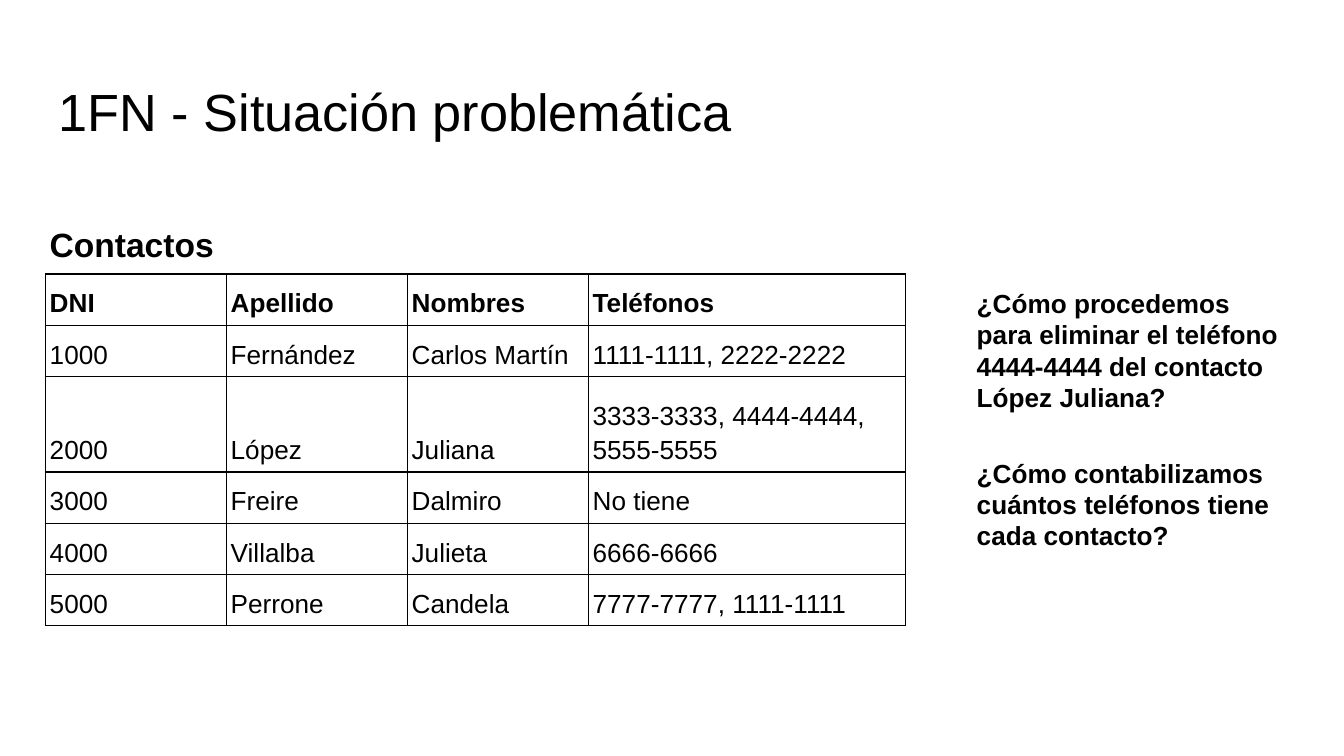
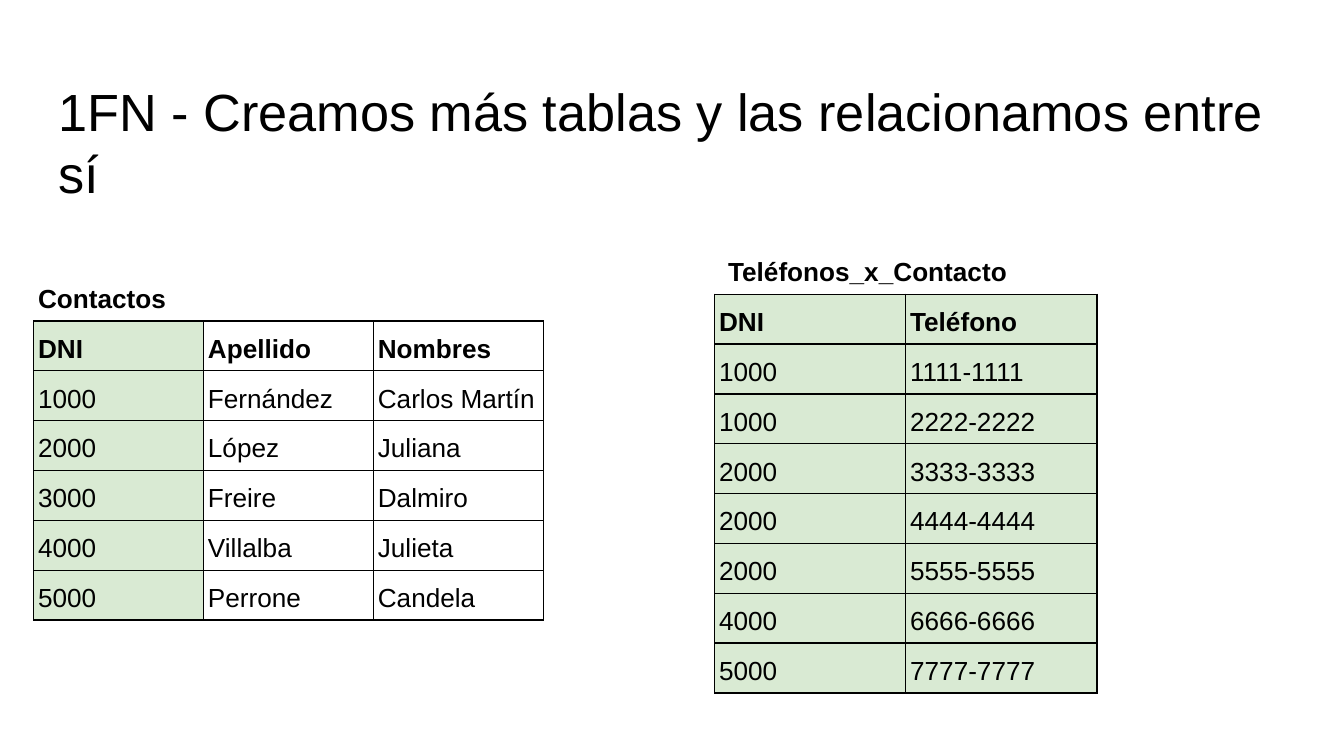
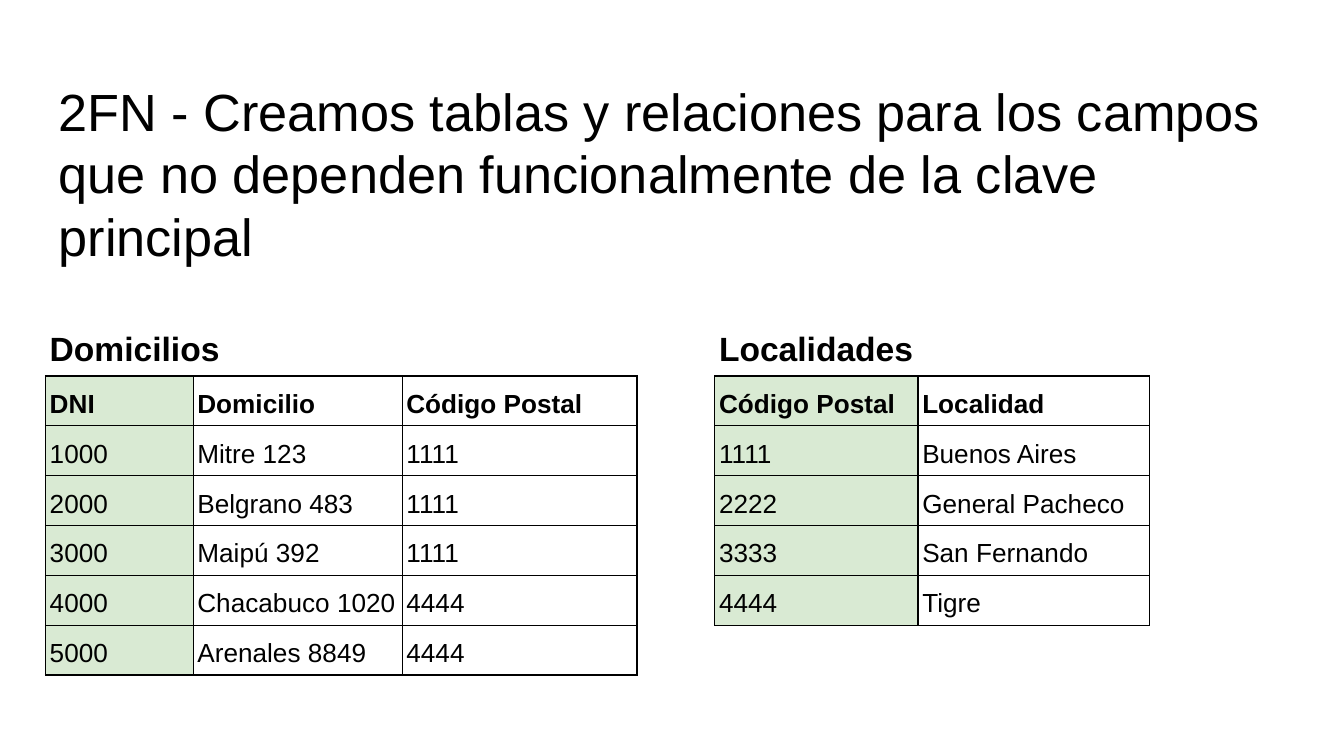
from pptx import Presentation
from pptx.dml.color import RGBColor
from pptx.enum.text import MSO_ANCHOR
from pptx.oxml import parse_xml
from pptx.oxml.ns import nsdecls, qn
from pptx.util import Cm, Pt

BLACK = RGBColor(0x00, 0x00, 0x00)
WHITE = RGBColor(0xFF, 0xFF, 0xFF)
KEY_GREEN = RGBColor(0xD9, 0xEA, 0xD3)
FONT = "Arial"
PLAIN_STYLE = "{2D5ABB26-0587-4C30-8999-92F81FD0307C}"
LEFT, RIGHT_TABLE = 0.86, 13.51
ROW = 0.73


def add_text(page, text, left, top, width, height, size, bold=True):
    box = page.shapes.add_textbox(Cm(left), Cm(top), Cm(width), Cm(height))
    frame = box.text_frame
    frame.word_wrap = True
    frame.margin_left = frame.margin_right = Cm(0.25)
    frame.margin_top = frame.margin_bottom = Cm(0.25)
    frame.text = text
    font = frame.paragraphs[0].runs[0].font
    font.name, font.size, font.bold = FONT, Pt(size), bold
    font.color.rgb = BLACK


def add_grid(page, left, top, widths, heights, rows, key_columns=1, key_fill=KEY_GREEN,
             caption_size=None, caption_margin=0.08, merge_caption=True):
    """Add a table; with a caption_size its first row is an open caption row."""
    frame = page.shapes.add_table(len(rows), len(widths), Cm(left), Cm(top),
                                  Cm(sum(widths)), Cm(sum(heights)))
    table = frame.table
    table.first_row = table.horz_banding = False
    table._tbl.tblPr.find(qn("a:tableStyleId")).text = PLAIN_STYLE
    for column, width in zip(table.columns, widths):
        column.width = Cm(width)
    for row, height in zip(table.rows, heights):
        row.height = Cm(height)
    header = 1 if caption_size else 0
    for r, values in enumerate(rows):
        is_caption = r < header
        for c in range(len(widths)):
            cell = table.cell(r, c)
            properties = cell._tc.get_or_add_tcPr()
            for side in "B" if is_caption else "LRTB":
                properties.append(parse_xml(
                    f'<a:ln{side} {nsdecls("a")} w="9525"><a:solidFill>'
                    f'<a:srgbClr val="{BLACK}"/></a:solidFill></a:ln{side}>'))
            if c < key_columns and not is_caption:
                cell.fill.solid()
                cell.fill.fore_color.rgb = key_fill
            else:
                cell.fill.background()
            if c >= len(values):
                continue
            cell.vertical_anchor = MSO_ANCHOR.BOTTOM
            cell.margin_left = cell.margin_right = Cm(caption_margin if is_caption else 0.08)
            cell.margin_top = cell.margin_bottom = Cm(0.13)
            cell.text_frame.text = values[c]
            para = cell.text_frame.paragraphs[0]
            para.line_spacing = 1.15
            font = para.runs[0].font
            font.name, font.bold = FONT, r <= header
            font.size = Pt(caption_size if is_caption else 14)
            font.color.rgb = BLACK
    if caption_size and merge_caption:
        table.cell(0, 0).merge(table.cell(0, len(widths) - 1))


deck = Presentation()
deck.slide_width, deck.slide_height = Cm(25.4), Cm(14.29)

titles = [
    "1FN - Situación problemática",
    "1FN - Creamos más tablas y las relacionamos entre sí",
    "2FN - Creamos tablas y relaciones para los campos que no dependen "
    "funcionalmente de la clave principal",
]
pages = []
for title in titles:
    page = deck.slides.add_slide(deck.slide_layouts[6])
    page.background.fill.solid()
    page.background.fill.fore_color.rgb = WHITE
    add_text(page, title, LEFT, 1.24, 23.67, 1.6, 28, bold=False)
    pages.append(page)
problem_page, first_form_page, second_form_page = pages

contacts = [
    ("DNI", "Apellido", "Nombres"),
    ("1000", "Fernández", "Carlos Martín"),
    ("2000", "López", "Juliana"),
    ("3000", "Freire", "Dalmiro"),
    ("4000", "Villalba", "Julieta"),
    ("5000", "Perrone", "Candela"),
]
phone_lists = ["Teléfonos", "1111-1111, 2222-2222", "3333-3333, 4444-4444, 5555-5555",
               "No tiene", "6666-6666", "7777-7777, 1111-1111"]

# 1FN: several phones in one cell
questions = [
    "¿Cómo procedemos para eliminar el teléfono 4444-4444 del contacto López Juliana?",
    "¿Cómo contabilizamos cuántos teléfonos tiene cada contacto?",
]
for i, question in enumerate(questions):
    add_text(problem_page, question, 18.21, 5.18 + i * 3.21, 6.32, 3.21, 14)
add_text(problem_page, "Contactos", 0.69, 3.99, 11.79, 0.99, 18)
add_grid(problem_page, LEFT, 5.18, [3.42, 3.42, 3.42, 6], [0.97, 0.97, 1.8] + [0.97] * 3,
         [row + (phones,) for row, phones in zip(contacts, phone_lists)], key_fill=WHITE)

# 1FN: one row per phone
add_grid(first_form_page, 0.64, 5.05, [3.21] * 3, [0.81] + [ROW] * 6,
         [("Contactos",)] + contacts, caption_size=14, merge_caption=False)
phones = [
    ("Teléfonos_x_Contacto",),
    ("DNI", "Teléfono"),
    ("1000", "1111-1111"),
    ("1000", "2222-2222"),
    ("2000", "3333-3333"),
    ("2000", "4444-4444"),
    ("2000", "5555-5555"),
    ("4000", "6666-6666"),
    ("5000", "7777-7777"),
]
add_grid(first_form_page, RIGHT_TABLE, 4.62, [3.61] * 2, [ROW] * 9, phones,
         key_columns=2, caption_size=14, caption_margin=0.25)

# 2FN: towns in their own table
addresses = [
    ("Domicilios",),
    ("DNI", "Domicilio", "Código Postal"),
    ("1000", "Mitre 123", "1111"),
    ("2000", "Belgrano 483", "1111"),
    ("3000", "Maipú 392", "1111"),
    ("4000", "Chacabuco 1020", "4444"),
    ("5000", "Arenales 8849", "4444"),
]
towns = [
    ("Localidades",),
    ("Código Postal", "Localidad"),
    ("1111", "Buenos Aires"),
    ("2222", "General Pacheco"),
    ("3333", "San Fernando"),
    ("4444", "Tigre"),
]
for left, widths, rows in [(LEFT, [2.79, 3.95, 4.44], addresses),
                           (RIGHT_TABLE, [3.84, 4.37], towns)]:
    add_grid(second_form_page, left, 5.97, widths, [0.91] + [ROW] * (len(rows) - 1), rows,
             caption_size=18)

deck.save("out.pptx")
